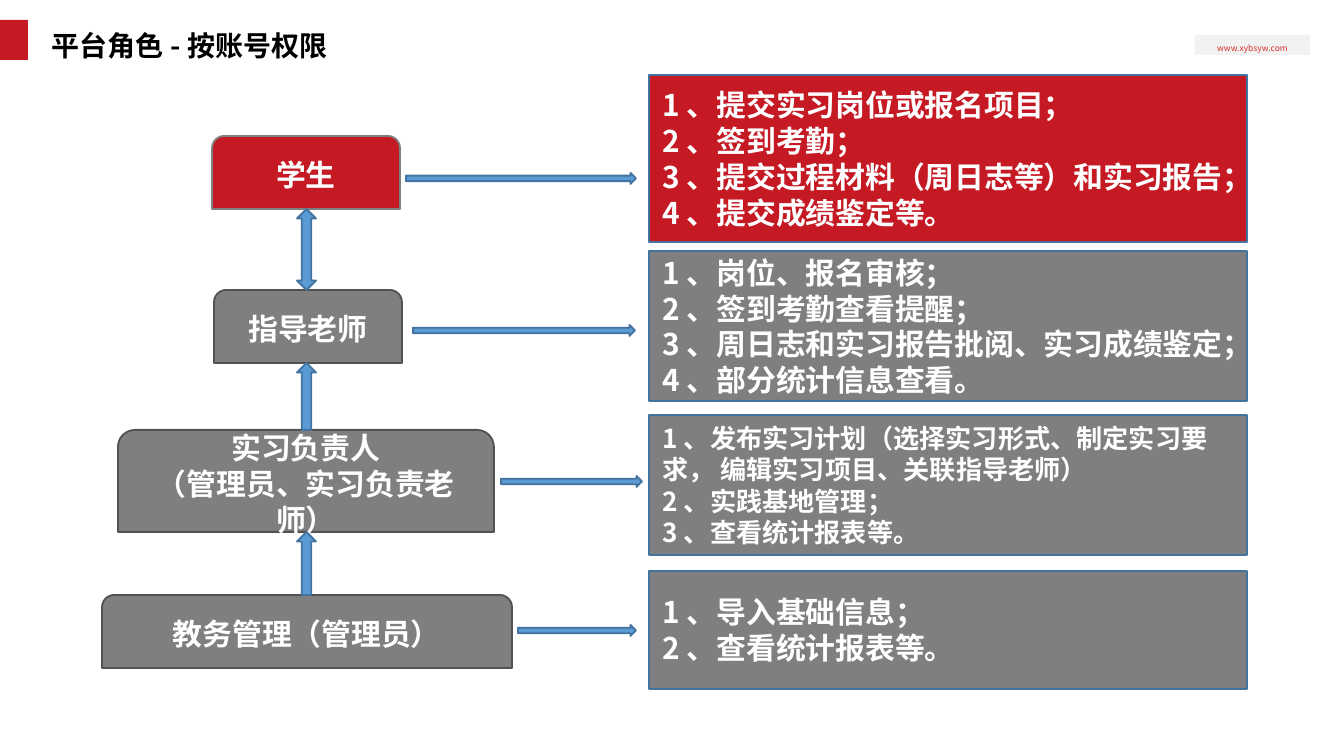
from pptx import Presentation
from pptx.dml.color import RGBColor
from pptx.enum.shapes import MSO_SHAPE
from pptx.enum.text import MSO_ANCHOR, MSO_AUTO_SIZE, PP_ALIGN
from pptx.oxml.ns import qn
from pptx.util import Emu, Pt
from lxml import etree

RECT = MSO_SHAPE.RECTANGLE
ROLE_SHAPE = MSO_SHAPE.ROUND_2_SAME_RECTANGLE
RIGHT, UP, UP_DOWN = MSO_SHAPE.RIGHT_ARROW, MSO_SHAPE.UP_ARROW, MSO_SHAPE.UP_DOWN_ARROW
LEFT, CENTER = PP_ALIGN.LEFT, PP_ALIGN.CENTER
MIDDLE, BOTTOM = MSO_ANCHOR.MIDDLE, MSO_ANCHOR.BOTTOM
NO_AUTOSIZE = MSO_AUTO_SIZE.NONE

FONT = "Noto Sans CJK SC"
RED = RGBColor(0xC5, 0x1A, 0x24)
LINK_RED = RGBColor(0xD6, 0x2F, 0x2F)
GRAY = RGBColor(0x7F, 0x7F, 0x7F)
DARK_GRAY = RGBColor(0x52, 0x52, 0x52)
PALE_GRAY = RGBColor(0xF2, 0xF2, 0xF2)
BLUE = RGBColor(0x5B, 0x9B, 0xD5)
DARK_BLUE = RGBColor(0x43, 0x73, 0x9E)
BLACK = RGBColor(0, 0, 0)
WHITE = RGBColor(255, 255, 255)

PX = 914400 / 134.4
DUTY_LEFT, DUTY_WIDTH = 649, 598
ARROW_THICKNESS = 11
LIFT_LEFT, LIFT_WIDTH = 297, 19

TITLE = "平台角色-按账号权限"
SITE = "www.xybsyw.com"

# From top to bottom. Boxes are (left, top, width, height) in px,
# duty boxes (top, height), arrows (left, top, width).
ROLES = [
    dict(name=["学生"], box=(212, 136, 188, 73), fill=RED, line=GRAY,
         arrow=(406, 173, 230), duty_box=(75, 167), size=16,
         duties=["1、提交实习岗位或报名项目；", "2、签到考勤；",
                 "3、提交过程材料（周日志等）和实习报告；", "4、提交成绩鉴定等。"]),
    dict(name=["指导老师"], box=(214, 290, 188, 73), fill=GRAY, line=DARK_GRAY,
         arrow=(413, 325, 222), duty_box=(251, 150), size=16,
         duties=["1、岗位、报名审核；", "2、签到考勤查看提醒；",
                 "3、周日志和实习报告批阅、实习成绩鉴定；", "4、部分统计信息查看。"]),
    dict(name=["实习负责人", "（管理员、实习负责老师）"], box=(118, 430, 376, 102),
         fill=GRAY, line=DARK_GRAY,
         arrow=(501, 476, 141), duty_box=(415, 140), size=14,
         duties=["1、发布实习计划（选择实习形式、制定实习要求， 编辑实习项目、关联指导老师）",
                 "2、实践基地管理；", "3、查看统计报表等。"]),
    dict(name=["教务管理（管理员）"], box=(102, 595, 410, 73), fill=GRAY, line=DARK_GRAY,
         arrow=(518, 625, 118), duty_box=(571, 118), size=16,
         duties=["1、导入基础信息；", "2、查看统计报表等。"]),
]
LIFTS = [UP_DOWN, UP, UP]  # arrows between neighbouring roles


def px(*lengths):
    return [Emu(round(length * PX)) for length in lengths]


def write(frame, lines, size, color, align, anchor=MIDDLE, bold=True):
    frame.word_wrap = True
    frame.auto_size = NO_AUTOSIZE
    frame.vertical_anchor = anchor
    for index, line in enumerate(lines):
        para = frame.add_paragraph() if index else frame.paragraphs[0]
        para.text = line
        para.alignment = align
        para.font.name = FONT
        para.font.size = Pt(size)
        para.font.bold = bold
        para.font.color.rgb = color
        # Chinese text takes its typeface from the East Asian font entry
        latin = para._p.pPr.find(qn("a:defRPr")).find(qn("a:latin"))
        east_asian = etree.Element(qn("a:ea"), typeface=FONT)
        latin.addnext(east_asian)


def add_block(slide, kind, box, fill, line=None):
    shape = slide.shapes.add_shape(kind, *px(*box))
    shape.shadow.inherit = False
    shape.fill.solid()
    shape.fill.fore_color.rgb = fill
    if line is None:
        shape.line.fill.background()
    else:
        shape.line.color.rgb = line
        shape.line.width = Pt(1)
    return shape


def add_header(slide):
    add_block(slide, RECT, (0, 20, 28, 40), RED)
    add_block(slide, RECT, (1195, 35, 115, 20), PALE_GRAY)
    site = slide.shapes.add_textbox(*px(1209, 36, 87, 24)).text_frame
    site.margin_left = site.margin_right = site.margin_top = site.margin_bottom = px(7)[0]
    write(site, [SITE], 4.5, LINK_RED, CENTER, bold=False)

    title = slide.shapes.title
    title.left, title.top, title.width, title.height = px(38, 11, 802, 58)
    write(title.text_frame, [TITLE], 15, BLACK, LEFT, BOTTOM)
    title.text_frame.paragraphs[0].line_spacing = 0.9


def add_role(slide, role):
    name_box = add_block(slide, ROLE_SHAPE, role["box"], role["fill"], role["line"])
    write(name_box.text_frame, role["name"], 16, WHITE, CENTER)

    add_block(slide, RIGHT, (*role["arrow"], ARROW_THICKNESS), BLUE, DARK_BLUE)

    top, height = role["duty_box"]
    duty_box = add_block(slide, RECT, (DUTY_LEFT, top, DUTY_WIDTH, height),
                         role["fill"], DARK_BLUE)
    write(duty_box.text_frame, role["duties"], role["size"], WHITE, LEFT)


def main():
    deck = Presentation()
    deck.slide_width, deck.slide_height = px(1344, 756)
    slide = deck.slides.add_slide(deck.slide_layouts[5])
    add_header(slide)
    for role in ROLES:
        add_role(slide, role)
    for kind, upper, lower in zip(LIFTS, ROLES, ROLES[1:]):
        top = upper["box"][1] + upper["box"][3]
        height = lower["box"][1] - top
        add_block(slide, kind, (LIFT_LEFT, top, LIFT_WIDTH, height), BLUE, DARK_BLUE)
    deck.save("out.pptx")


if __name__ == "__main__":
    main()
